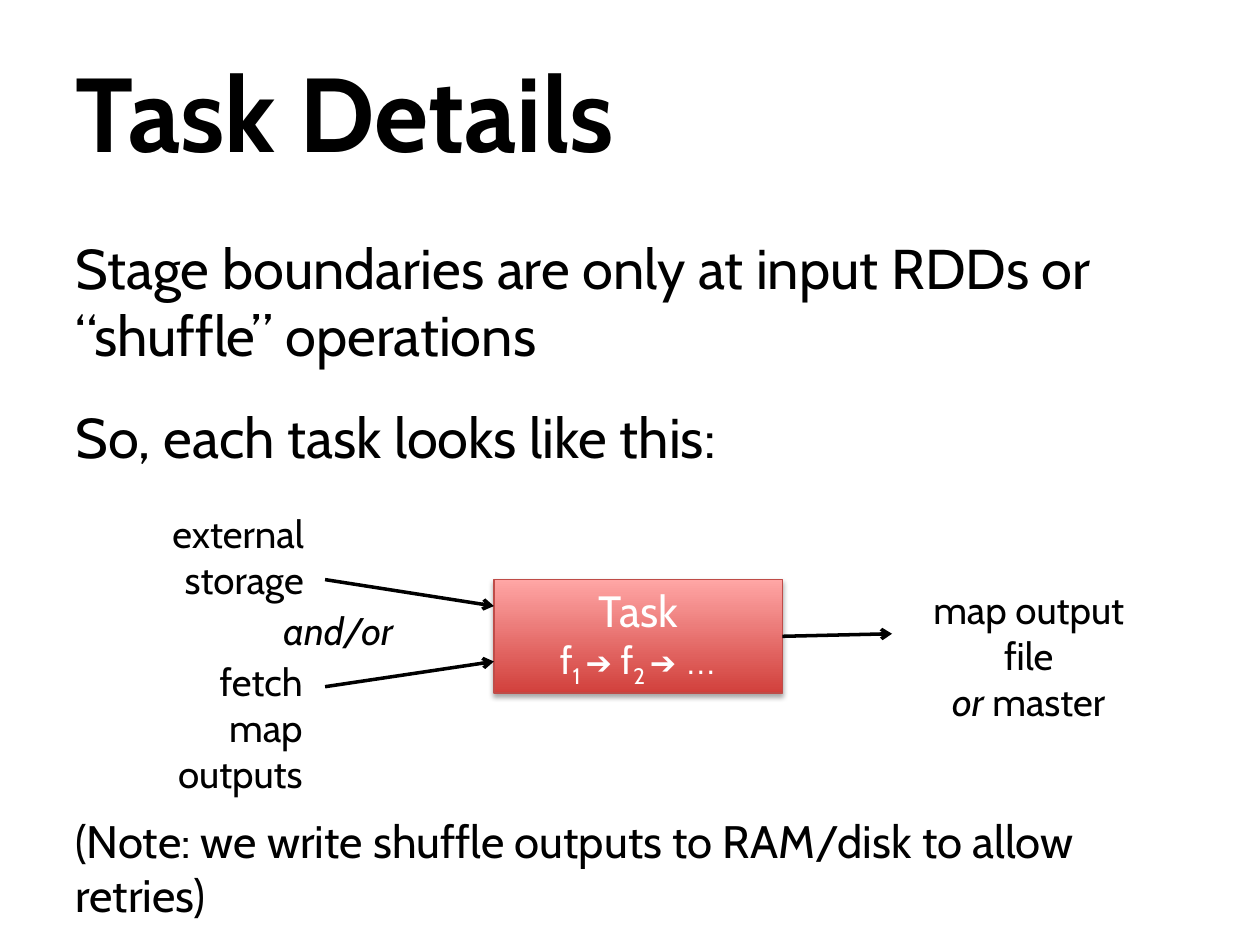
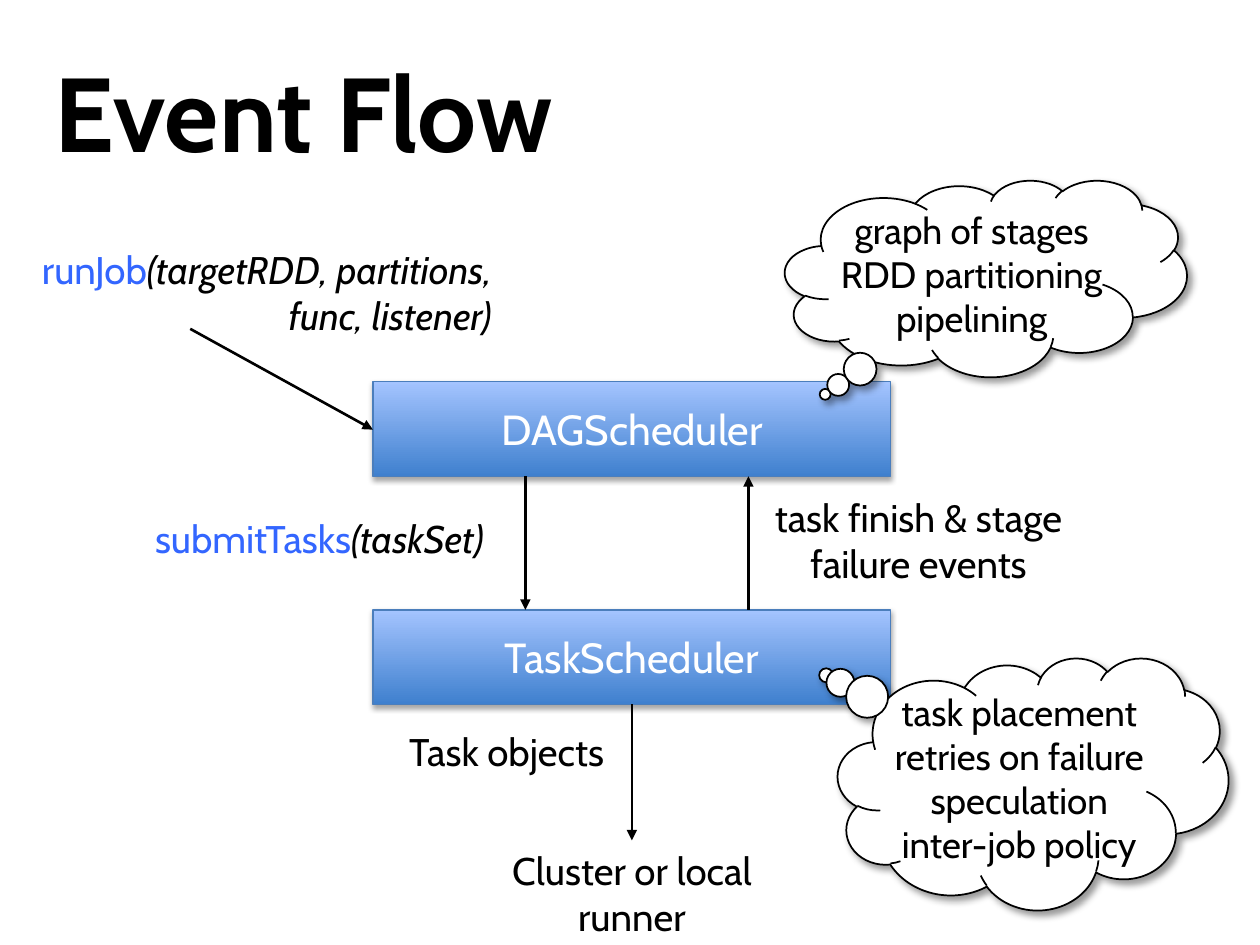
"""Two slides on how a scheduler turns a job into tasks."""
from dataclasses import dataclass

from lxml import etree
from pptx import Presentation
from pptx.dml.color import RGBColor
from pptx.enum.shapes import MSO_CONNECTOR, MSO_SHAPE
from pptx.enum.text import MSO_ANCHOR, MSO_AUTO_SIZE, PP_ALIGN
from pptx.oxml.ns import qn
from pptx.util import Inches, Pt

LEFT, CENTER, RIGHT = PP_ALIGN.LEFT, PP_ALIGN.CENTER, PP_ALIGN.RIGHT
TOP, MIDDLE = MSO_ANCHOR.TOP, MSO_ANCHOR.MIDDLE
GROW, FIXED = MSO_AUTO_SIZE.SHAPE_TO_FIT_TEXT, MSO_AUTO_SIZE.NONE
RECTANGLE, CLOUD = MSO_SHAPE.RECTANGLE, MSO_SHAPE.CLOUD_CALLOUT
STRAIGHT = MSO_CONNECTOR.STRAIGHT
TITLE_ONLY = 5
COLUMNS, ROWS = 100, 75
BREAK = "\n"


@dataclass(frozen=True)
class Theme:
    """Fonts, colours and sizes that the slides share."""
    font: str = "Cabin"
    symbol_font: str = "Arial"
    ink: str = "000000"
    paper: str = "FFFFFF"
    call: str = "3366FF"
    # Gradient bottom, gradient top, outline
    red: tuple = ("D1403C", "FFA6A5", "BF4C48")
    blue: tuple = ("3F80CE", "A4C4FF", "4B7EBC")
    # Opacity in percent, blur and distance in points, angle in degrees
    box_shadow: tuple = (35, 3.1, 1.8, 90)
    cloud_shadow: tuple = (40, 4, 3, 45)
    title: int = 60
    body: int = 32
    note: int = 26
    task: int = 25
    box: int = 24
    label: int = 22
    thought: int = 21
    symbol: int = 18


THEME = Theme()


def write_text(frame, paragraphs, size=THEME.label, color=THEME.ink, align=LEFT,
               bold=None, anchor=TOP, fit=FIXED, insets=None, before=()):
    """Fill a frame; a paragraph is a string or a list of strings and (text, format) spans."""
    frame.word_wrap = True
    frame.auto_size = fit
    frame.vertical_anchor = anchor
    if insets:
        across, down = map(Inches, insets)
        frame.margin_left = frame.margin_right = across
        frame.margin_top = frame.margin_bottom = down
    for index, spans in enumerate(paragraphs):
        para = frame.paragraphs[0] if index == 0 else frame.add_paragraph()
        para.alignment = align
        if before:
            para.space_before = Pt(before[index])
        for item in [spans] if isinstance(spans, str) else spans:
            if item == BREAK:
                para.add_line_break()
                continue
            text, style = (item, {}) if isinstance(item, str) else item
            span = para.add_run()
            span.text = text
            font = span.font
            font.name = style.get("font", THEME.font)
            font.size = Pt(style.get("size", size))
            font.bold = bold
            font.italic = style.get("italic")
            font.color.rgb = RGBColor.from_string(style.get("color", color))
            if style.get("subscript"):
                font._element.set("baseline", "-25000")


def italic(text):
    """Return an italic span."""
    return text, {"italic": True}


def call(name):
    """Return the span of a called function's name."""
    return name, {"color": THEME.call}


def subscript(text):
    """Return a lowered span."""
    return text, {"subscript": True}


def symbol(text):
    """Return a span in the symbol font."""
    return text, {"font": THEME.symbol_font, "size": THEME.symbol}


class Page:
    """The deck's current slide, drawn on a grid of columns and rows."""

    def __init__(self, deck, theme):
        """Keep the deck and work out the grid's unit sizes."""
        self.deck, self.theme, self.slide = deck, theme, None
        self.column = deck.slide_width / COLUMNS
        self.row = deck.slide_height / ROWS

    def place(self, *cells):
        """Turn alternating columns and rows into lengths."""
        return [round(cell * (self.row if index % 2 else self.column))
                for index, cell in enumerate(cells)]

    def start(self, title, left):
        """Begin a slide and format its title."""
        layout = self.deck.slide_layouts[TITLE_ONLY]
        self.slide = self.deck.slides.add_slide(layout)
        box = self.slide.shapes.title
        box.left, box.top, box.width, box.height = self.place(left, 2.5, 90, 12.5)
        write_text(box.text_frame, [title], size=self.theme.title, bold=True,
                   anchor=MIDDLE)

    def text(self, cells, paragraphs, **style):
        """Add a text box."""
        box = self.slide.shapes.add_textbox(*self.place(*cells))
        write_text(box.text_frame, paragraphs, **style)

    def shade(self, shape, shadow):
        """Replace the inherited shadow by a given one."""
        opacity, blur, distance, angle = shadow
        shape.shadow.inherit = False
        effects = shape._element.spPr.find(qn("a:effectLst"))
        outer = etree.SubElement(
            effects, qn("a:outerShdw"), blurRad=str(Pt(blur)), dist=str(Pt(distance)),
            dir=str(angle * 60000), rotWithShape="0")
        tint = etree.SubElement(outer, qn("a:srgbClr"), val=self.theme.ink)
        etree.SubElement(tint, qn("a:alpha"), val=str(opacity * 1000))

    def box(self, cells, paragraphs, palette, size):
        """Add a rectangle with a gradient that lightens upwards."""
        shape = self.slide.shapes.add_shape(RECTANGLE, *self.place(*cells))
        bottom, top, outline = map(RGBColor.from_string, palette)
        shape.fill.gradient()
        shape.fill.gradient_angle = 90
        for stop, color, position in zip(shape.fill.gradient_stops, (bottom, top), (0, 1)):
            stop.color.rgb = color
            stop.position = position
        shape.line.color.rgb = outline
        shape.line.width = Pt(0.75)
        self.shade(shape, self.theme.box_shadow)
        write_text(shape.text_frame, paragraphs, size=size, color=self.theme.paper,
                   align=CENTER, anchor=MIDDLE)

    def cloud(self, cells, paragraphs, tail, insets):
        """Add a thought cloud whose tail is given as shares of its size."""
        shape = self.slide.shapes.add_shape(CLOUD, *self.place(*cells))
        shape.adjustments[0], shape.adjustments[1] = tail
        shape.fill.solid()
        shape.fill.fore_color.rgb = RGBColor.from_string(self.theme.paper)
        shape.line.color.rgb = RGBColor.from_string(self.theme.ink)
        shape.line.width = Pt(1)
        self.shade(shape, self.theme.cloud_shadow)
        write_text(shape.text_frame, paragraphs, size=self.theme.thought,
                   align=CENTER, anchor=MIDDLE, insets=insets)

    def arrow(self, cells, width=1.5, head="triangle"):
        """Add an arrow from one grid point to another."""
        line = self.slide.shapes.add_connector(STRAIGHT, *self.place(*cells))
        line.line.color.rgb = RGBColor.from_string(self.theme.ink)
        line.line.width = Pt(width)
        etree.SubElement(line.line._get_or_add_ln(), qn("a:tailEnd"), type=head)
        etree.SubElement(line._element.spPr, qn("a:effectLst"))


def task_details(page):
    """Draw what goes into a task and what comes out."""
    page.start("Task Details", left=5)
    page.text((5, 18, 92.2, 46.2), [
        "Stage boundaries are only at input RDDs or “shuffle” operations",
        "So, each task looks like this:",
        [("(Note: we write shuffle outputs to RAM/disk to allow retries)",
          {"size": THEME.note})],
    ], size=THEME.body, before=(20, 20, 196))

    left, top, width, height = task = (39.2, 46, 22.9, 9)
    page.box(task, [
        "Task",
        [("f", {"size": THEME.label}),
         ("1 ", {"size": THEME.label, "subscript": True}), symbol("➔"),
         (" f", {"size": THEME.label}),
         ("2 ", {"size": THEME.label, "subscript": True}), symbol("➔"),
         (" ", {"size": THEME.label}), symbol("…")],
    ], THEME.red, THEME.task)

    right = left + width
    for ends in ((right, top + height / 2, 70.8, 50.3),
                 (25.8, top, left, 48.1),
                 (25.8, 54.5, left, 52.5)):
        page.arrow(ends, width=2, head="arrow")

    page.text((70.8, top, 21.7, 8.4),
              [["map output file", BREAK, italic("or"), " master"]],
              align=CENTER, fit=GROW)
    page.text((12.6, 40, 12.5, 8.4), [["external", BREAK, "storage"]],
              align=RIGHT, fit=GROW)
    page.text((10.1, 51.7, 14.9, 8.4), ["fetch map", "outputs"], align=RIGHT, fit=GROW)
    page.text((21.5, 47.7, 10.9, 4.7), [[italic("and/or")]], fit=GROW)


def event_flow(page):
    """Draw the calls and events between the schedulers."""
    page.start("Event Flow", left=3.3)
    left, width, height = 29.6, 41.1, 7.5
    job_top, task_top = 30.3, 48.4
    job_bottom, task_bottom = job_top + height, task_top + height
    for name, top in (("DAGScheduler", job_top), ("TaskScheduler", task_top)):
        page.box((left, top, width, height), [name], THEME.blue, THEME.box)

    for ends in ((15.1, 26.1, left, 34.1),
                 (41.7, job_bottom, 41.7, task_top),
                 (59.4, task_top, 59.4, job_bottom),
                 (50.15, task_bottom, 50.15, 66.7)):
        page.arrow(ends)

    page.text((1.1, 19, 38.9, 8.4),
              [[call("runJob"), italic("(targetRDD, partitions, func, listener)")]],
              align=RIGHT, fit=GROW)
    for cells, spans in (
            ((9.2, 40.4, 32.3, 4.9), [call("submitTasks"), italic("(taskSet)")]),
            ((60, 38.7, 25.8, 8.4), "task finish & stage failure events"),
            ((35.1, 66.7, 30.1, 4.7), "Cluster or local runner"),
            ((30.8, 57.3, 18.8, 4.9), "Task objects")):
        page.text(cells, [spans], align=CENTER, fit=GROW)

    page.cloud((62.3, 14.3, 31.9, 15.6),
               ["graph of stages", "RDD partitioning", "pipelining"],
               tail=(-0.4, 0.59), insets=(0, 0.05))
    page.cloud((66.5, 52.2, 31, 20),
               ["task placement", "retries on failure", "speculation",
                "inter-job policy"],
               tail=(-0.53, -0.43), insets=(0, 0))


def main():
    """Build the deck and save it."""
    deck = Presentation()
    deck.slide_width, deck.slide_height = Inches(10), Inches(7.5)
    page = Page(deck, THEME)
    task_details(page)
    event_flow(page)
    deck.save("out.pptx")


main()
